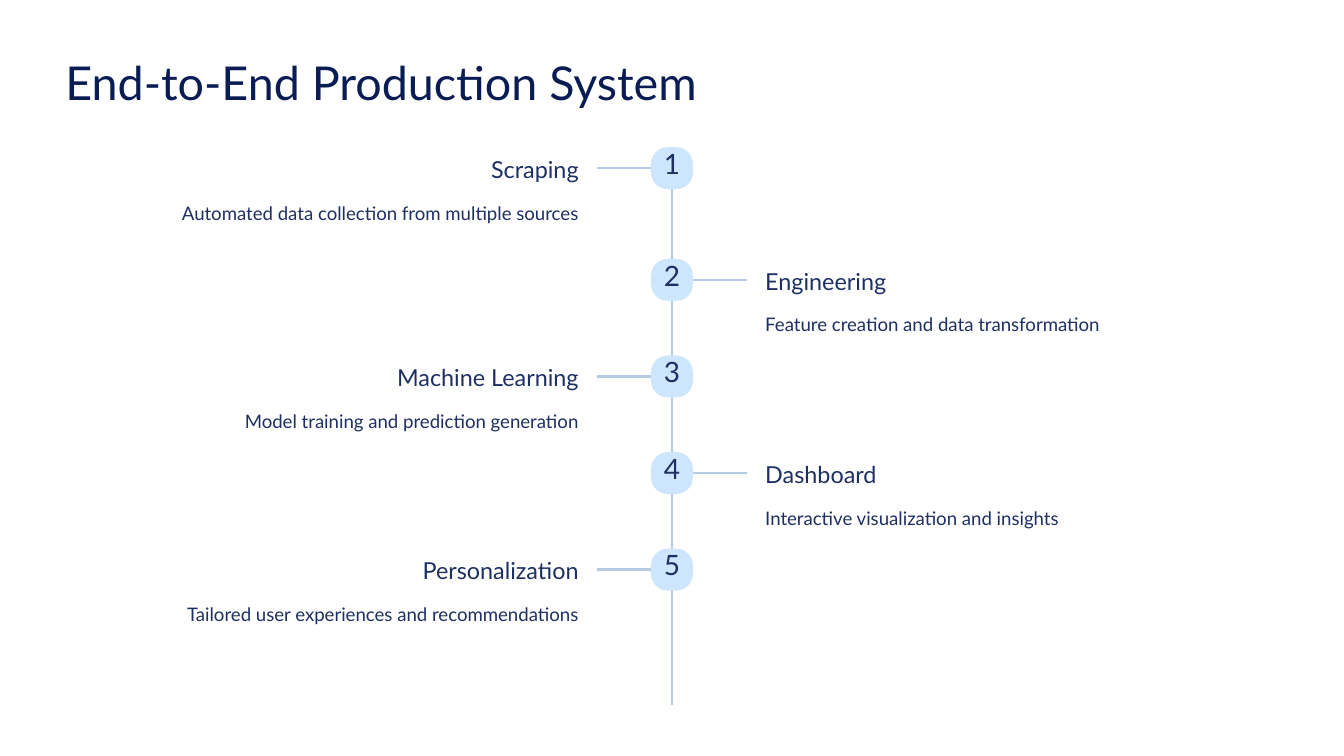
"""Build the End-to-End Production System timeline slide."""
from dataclasses import dataclass

from lxml.etree import SubElement
from pptx import Presentation
from pptx.dml.color import RGBColor
from pptx.enum.shapes import MSO_CONNECTOR, MSO_SHAPE
from pptx.enum.text import MSO_ANCHOR, PP_ALIGN
from pptx.oxml.ns import qn
from pptx.util import Cm, Pt

TITLE = "End-to-End Production System"
STEPS = [
    ("Scraping", "Automated data collection from multiple sources"),
    ("Engineering", "Feature creation and data transformation"),
    ("Machine Learning", "Model training and prediction generation"),
    ("Dashboard", "Interactive visualization and insights"),
    ("Personalization", "Tailored user experiences and recommendations"),
]


@dataclass(frozen=True)
class Theme:
    font: str = "Lato"
    title: str = "091C53"
    text: str = "1E3063"
    line: str = "B4CCE3"
    badge: str = "CEE6FD"
    background: str = "FFFFFF"
    title_size: float = 40
    number_size: float = 24
    heading_size: float = 20
    body_size: float = 16
    line_width: float = 2.1


THEME = Theme()

WIDTH, HEIGHT = 40.64, 22.86
MARGIN = 1.98
AXIS = WIDTH / 2
RAIL_TOP, RAIL_BOTTOM = 4.45, 21.31
FIRST_GAP, STEP_GAP = 3.38, 2.92
BADGE = 1.27
STUB_END, TEXT_START = 2.26, 2.82
HEADING_W, BODY_W = 7.06, 15.52


def write(sp, text, size, leading, color, align, anchor=MSO_ANCHOR.TOP):
    tf = sp.text_frame
    tf.word_wrap = True
    tf.vertical_anchor = anchor
    tf.margin_left = tf.margin_right = tf.margin_top = tf.margin_bottom = 0
    p = tf.paragraphs[0]
    p.text = text
    p.alignment = align
    p.line_spacing = Pt(leading)
    p.font.name = THEME.font
    p.font.size = Pt(size)
    p.font.color.rgb = RGBColor.from_string(color)


def add_text(s, x, y, w, h, *style):
    write(s.shapes.add_textbox(Cm(x), Cm(y), Cm(w), Cm(h)), *style)


def add_line(s, x1, y1, x2, y2):
    line = s.shapes.add_connector(
        MSO_CONNECTOR.STRAIGHT, Cm(x1), Cm(y1), Cm(x2), Cm(y2))
    line.line.color.rgb = RGBColor.from_string(THEME.line)
    line.line.width = Pt(THEME.line_width)
    SubElement(line._element.spPr, qn("a:effectLst"))


def add_badge(s, number, top):
    sp = s.shapes.add_shape(MSO_SHAPE.ROUNDED_RECTANGLE,
                            Cm(AXIS - BADGE / 2), Cm(top), Cm(BADGE), Cm(BADGE))
    sp.adjustments[0] = 0.4
    sp.shadow.inherit = False
    sp.fill.solid()
    sp.fill.fore_color.rgb = RGBColor.from_string(THEME.badge)
    sp.line.fill.background()
    write(sp, str(number), THEME.number_size, 24, THEME.text, PP_ALIGN.CENTER)


def add_step(s, index, heading, body):
    top = RAIL_TOP + (FIRST_GAP + STEP_GAP * (index - 1) if index else 0)
    middle = top + BADGE / 2
    on_left = index % 2 == 0
    side = -1 if on_left else 1
    align = PP_ALIGN.RIGHT if on_left else PP_ALIGN.LEFT
    edge = AXIS + side * TEXT_START
    add_line(s, AXIS + side * BADGE / 2, middle, AXIS + side * STUB_END, middle)
    add_badge(s, index + 1, top)
    for text, dy, w, h, size, leading in (
        (heading, 0.2, HEADING_W, 0.89, THEME.heading_size, 25),
        (body, 1.42, BODY_W, 0.91, THEME.body_size, 25.5),
    ):
        left = edge - w if on_left else edge
        add_text(s, left, top + dy, w, h, text, size, leading, THEME.text, align)


def main():
    prs = Presentation()
    prs.slide_width, prs.slide_height = Cm(WIDTH), Cm(HEIGHT)
    s = prs.slides.add_slide(prs.slide_layouts[6])
    s.background.fill.solid()
    s.background.fill.fore_color.rgb = RGBColor.from_string(THEME.background)
    add_text(s, MARGIN, 1.55, 20.96, 1.75,
             TITLE, THEME.title_size, 50, THEME.title, PP_ALIGN.LEFT)
    add_line(s, AXIS, RAIL_TOP, AXIS, RAIL_BOTTOM)
    for index, (heading, body) in enumerate(STEPS):
        add_step(s, index, heading, body)
    prs.save("out.pptx")


if __name__ == "__main__":
    main()
